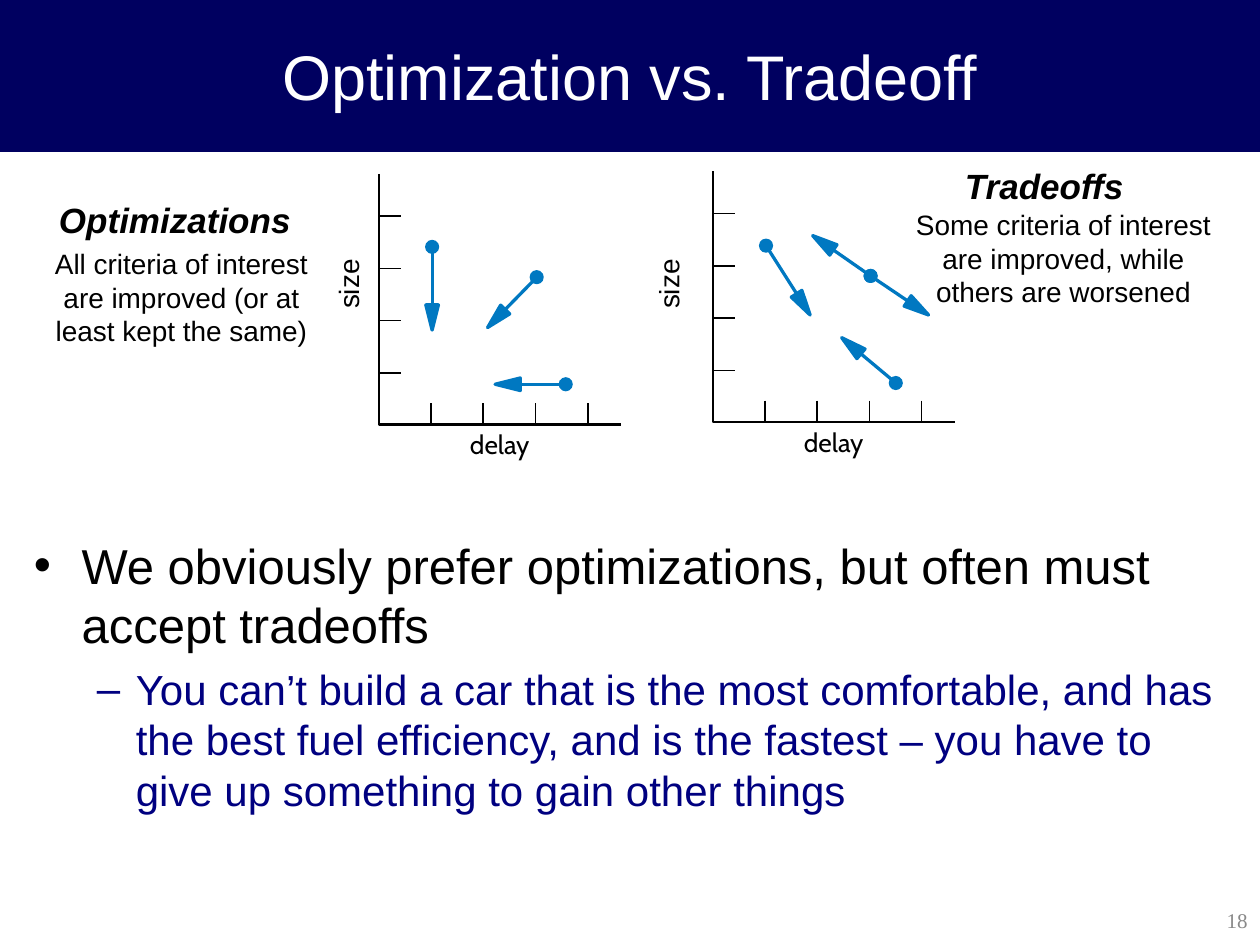
"""Build the "Optimization vs. Tradeoff" slide with two size/delay plots."""
from math import hypot

from lxml import etree
from pptx import Presentation
from pptx.dml.color import RGBColor
from pptx.enum.shapes import MSO_CONNECTOR, MSO_SHAPE
from pptx.enum.text import MSO_ANCHOR, PP_ALIGN
from pptx.oxml.ns import qn
from pptx.util import Inches, Pt

LEFT, CENTER, RIGHT = PP_ALIGN.LEFT, PP_ALIGN.CENTER, PP_ALIGN.RIGHT
TOP, MIDDLE = MSO_ANCHOR.TOP, MSO_ANCHOR.MIDDLE
STRAIGHT = MSO_CONNECTOR.STRAIGHT
RECTANGLE, OVAL = MSO_SHAPE.RECTANGLE, MSO_SHAPE.OVAL

BLACK = RGBColor(0x00, 0x00, 0x00)
WHITE = RGBColor(0xFF, 0xFF, 0xFF)
NAVY = RGBColor(0x00, 0x00, 0x60)
BLUE = RGBColor(0x00, 0x00, 0x80)
ARROW_BLUE = RGBColor(0x00, 0x78, 0xC1)
GRAY = RGBColor(0x89, 0x89, 0x89)

WIDTH, HEIGHT = 10, 7.5
BANNER_HEIGHT = 0.16 * HEIGHT
AXIS_WIDTH, AXIS_HEIGHT = 1.92, 1.99
TICK_COUNT, TICK_START, TICK_STEP = 4, 0.41, 0.415
TICK_GAP, TICK_END = 0.01, 0.17
DOT_SIZE, HEAD_LENGTH, HEAD_HALF_WIDTH = 0.1, 0.2, 0.05
THIN, AXIS_LINE, ARROW_LINE = 0.88, 1.39, 1.87

TITLE = "Optimization vs. Tradeoff"
PLOTS = [
    {
        "origin": (3.01, 3.37),
        "size_left": 2.47,
        "heading": ("Optimizations", (0.37, 1.53, 2.04, 0.44)),
        "lines": ["All criteria of interest", "are improved (or at least kept the same)"],
        "lines_box": (0.25, 1.91, 2.38, 0.9),
        "arrows": [
            ((4.49, 3.05), (3.93, 3.05)),
            ((3.43, 1.96), (3.43, 2.62)),
            ((4.26, 2.2), (3.87, 2.6)),
        ],
    },
    {
        "origin": (5.66, 3.35),
        "size_left": 5.01,
        "heading": ("Tradeoffs", (7.56, 1.26, 1.47, 0.44)),
        "lines": ["Some criteria of interest are improved, while others are worsened"],
        "lines_box": (7.1, 1.6, 2.68, 0.9),
        "arrows": [
            ((7.11, 3.04), (6.68, 2.68)),
            ((6.08, 1.95), (6.43, 2.5)),
            ((6.91, 2.19), (6.45, 1.87)),
            ((6.91, 2.19), (7.37, 2.5)),
        ],
    },
]
BULLETS = [
    ("•", "We obviously prefer optimizations, but often must accept tradeoffs",
     28, BLACK, 0.38, 0.38, 0),
    ("–", "You can’t build a car that is the most comfortable, and has the best fuel "
     "efficiency, and is the fastest – you have to give up something to gain other things",
     24, BLUE, 0.81, 0.31, 6),
]


def inches(values):
    return [Inches(value) for value in values]


def add_run(paragraph, text, size, color, font="Arial", emphasis=False):
    run = paragraph.add_run()
    run.text = text
    run.font.name, run.font.size = font, Pt(size)
    run.font.color.rgb = color
    run.font.bold = run.font.italic = emphasis


def add_frame(slide, box, anchor=TOP, wrap=True, margins=(0.1, 0.05), rotation=0):
    shape = slide.shapes.add_textbox(*inches(box))
    shape.rotation = rotation
    frame = shape.text_frame
    frame.word_wrap, frame.vertical_anchor = wrap, anchor
    frame.margin_left = frame.margin_right = Inches(margins[0])
    frame.margin_top = frame.margin_bottom = Inches(margins[1])
    return frame


def add_text(slide, box, lines, size, color, align=LEFT, font="Arial", emphasis=False, **options):
    frame = add_frame(slide, box, **options)
    for index, line in enumerate(lines):
        paragraph = frame.add_paragraph() if index else frame.paragraphs[0]
        paragraph.alignment = align
        add_run(paragraph, line, size, color, font, emphasis)


def add_line(slide, start, end, color, width):
    line = slide.shapes.add_connector(STRAIGHT, *inches((*start, *end)))
    line.line.color.rgb, line.line.width = color, Pt(width)
    etree.SubElement(line._element.spPr, qn("a:effectLst"))


def style_shape(shape, color, width, filled=True):
    shape.shadow.inherit = False
    shape.line.color.rgb, shape.line.width = color, Pt(width)
    if filled:
        shape.fill.solid()
        shape.fill.fore_color.rgb = color
    else:
        shape.fill.background()


def add_outline(slide, points, color, width, closed):
    builder = slide.shapes.build_freeform(*inches(points[0]), scale=1.0)
    builder.add_line_segments([inches(point) for point in points[1:]], close=closed)
    style_shape(builder.convert_to_shape(), color, width, filled=closed)


def add_arrow(slide, start, tip):
    (x, y), (tip_x, tip_y) = start, tip
    length = hypot(tip_x - x, tip_y - y)
    across, down = (tip_x - x) / length, (tip_y - y) / length
    base_x, base_y = tip_x - HEAD_LENGTH * across, tip_y - HEAD_LENGTH * down
    side_x, side_y = -HEAD_HALF_WIDTH * down, HEAD_HALF_WIDTH * across
    corners = [tip, (base_x + side_x, base_y + side_y), (base_x - side_x, base_y - side_y)]
    dot_box = (x - DOT_SIZE / 2, y - DOT_SIZE / 2, DOT_SIZE, DOT_SIZE)
    style_shape(slide.shapes.add_shape(OVAL, *inches(dot_box)), ARROW_BLUE, THIN)
    add_line(slide, start, (base_x, base_y), ARROW_BLUE, ARROW_LINE)
    add_outline(slide, corners, ARROW_BLUE, ARROW_LINE, closed=True)


def add_plot(slide, plot):
    x, y = plot["origin"]
    for index in range(TICK_COUNT):
        offset = TICK_START + index * TICK_STEP
        add_line(slide, (x + TICK_END, y - offset), (x + TICK_GAP, y - offset), BLACK, THIN)
        add_line(slide, (x + offset, y - TICK_END), (x + offset, y - TICK_GAP), BLACK, THIN)
    for start, tip in plot["arrows"]:
        add_arrow(slide, start, tip)
    axes = [(x, y - AXIS_HEIGHT), (x, y), (x + AXIS_WIDTH, y)]
    add_outline(slide, axes, BLACK, AXIS_LINE, closed=False)
    add_text(slide, (x + 0.72, y + 0.03, 0.48, 0.25), ["delay"], 15, BLACK,
             font="Cabin", wrap=False, margins=(0, 0))
    add_text(slide, (plot["size_left"], 2.07, 0.59, 0.37), ["size"], 16, BLACK, CENTER,
             margins=(0, 0.05), rotation=270)
    heading, heading_box = plot["heading"]
    add_text(slide, heading_box, [heading], 20, BLACK, emphasis=True, wrap=False)
    add_text(slide, plot["lines_box"], plot["lines"], 16, BLACK, CENTER)


def add_bullets(slide, box):
    frame = add_frame(slide, box)
    for index, (mark, text, size, color, indent, hanging, before) in enumerate(BULLETS):
        paragraph = frame.add_paragraph() if index else frame.paragraphs[0]
        paragraph.level = index
        paragraph.space_before = Pt(before)
        properties = paragraph._p.get_or_add_pPr()
        properties.set("marL", str(Inches(indent)))
        properties.set("indent", str(-Inches(hanging)))
        etree.SubElement(properties, qn("a:buFont"), typeface="Arial")
        etree.SubElement(properties, qn("a:buChar"), char=mark)
        paragraph.font.size = Pt(size)
        add_run(paragraph, text, size, color)


def main():
    presentation = Presentation()
    presentation.slide_width, presentation.slide_height = inches((WIDTH, HEIGHT))
    slide = presentation.slides.add_slide(presentation.slide_layouts[6])
    banner_box = (0, 0, WIDTH, BANNER_HEIGHT)
    style_shape(slide.shapes.add_shape(RECTANGLE, *inches(banner_box)), NAVY, 0.75)
    add_text(slide, banner_box, [TITLE], 36, WHITE, CENTER, anchor=MIDDLE)
    add_bullets(slide, (0.17, 4.2, 9.66, 2.9))
    add_text(slide, (7.88, 7.1, 2.12, 0.4), ["18"], 12, GRAY, RIGHT,
             font="Times New Roman", anchor=MIDDLE)
    for plot in PLOTS:
        add_plot(slide, plot)
    presentation.save("out.pptx")


if __name__ == "__main__":
    main()
